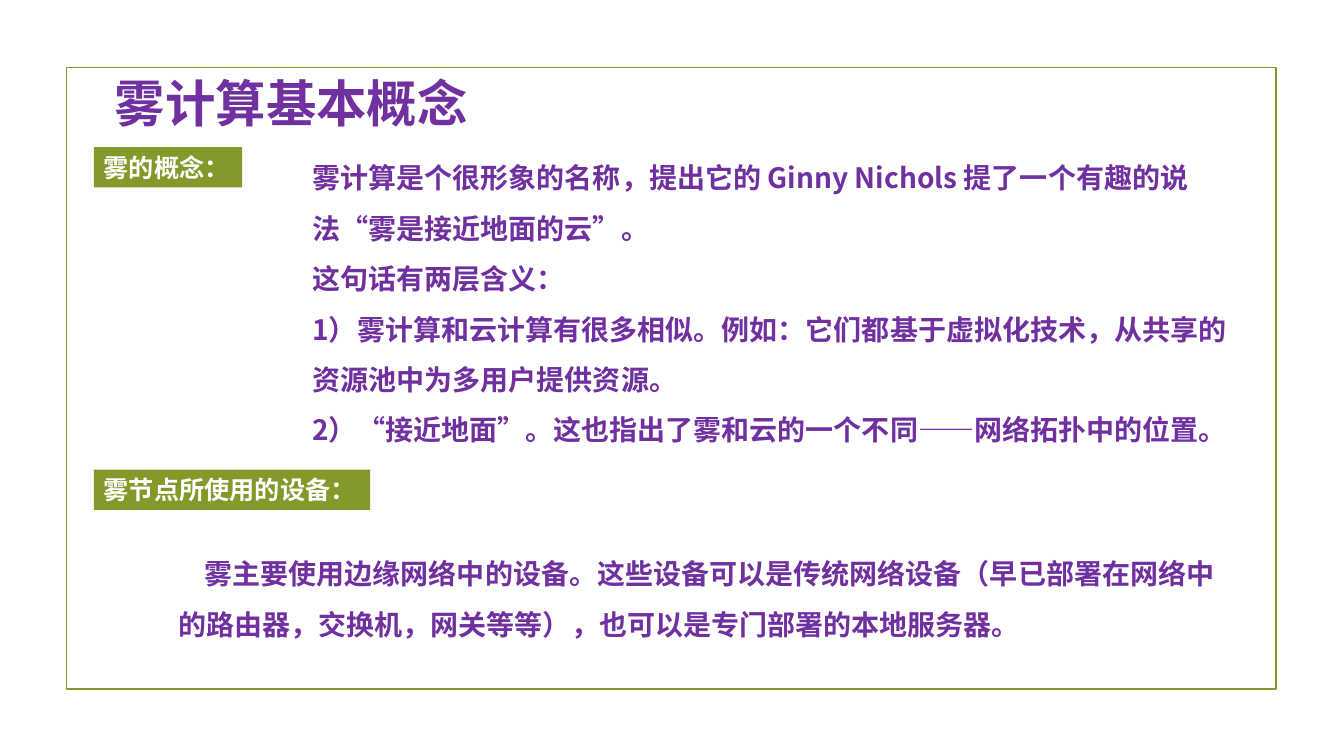
import pptx
import pptx.util
import pptx.dml.color
import pptx.enum.shapes
import pptx.enum.text
import pptx.oxml.ns
import lxml.etree

RGB = pptx.dml.color.RGBColor
GREEN = RGB(0x83, 0x99, 0x2A)
PURPLE = RGB(0x70, 0x30, 0xA0)
WHITE = RGB(0xFF, 0xFF, 0xFF)

WIDE, HIGH = pptx.util.Inches(13.33), pptx.util.Inches(7.5)
HAN = "Noto Sans CJK SC"
EDGE = 6.98  # left edge of the labels, percent of the width

FOG = [
    "雾计算是个很形象的名称，提出它的 Ginny Nichols 提了一个有趣的说法“雾是接近地面的云”。",
    "这句话有两层含义：",
    "1）雾计算和云计算有很多相似。例如：它们都基于虚拟化技术，从共享的资源池中为多用户提供资源。",
    "2）“接近地面”。这也指出了雾和云的一个不同——网络拓扑中的位置。",
]
GEAR = [
    "雾主要使用边缘网络中的设备。这些设备可以是传统网络设备（早已部署在网络中的路由器，交换机，网关等等），也可以是专门部署的本地服务器。",
]


def area(left, top, width, height):
    """Turn percent shares of the slide into lengths."""
    return (int(WIDE * left / 100), int(HIGH * top / 100),
            int(WIDE * width / 100), int(HIGH * height / 100))


def write(shape, lines, size, color, font, space=1.0, indent=0, wrap=True):
    """Fill a shape with bold, left-aligned paragraphs."""
    frame = shape.text_frame
    frame.word_wrap = wrap
    frame.auto_size = pptx.enum.text.MSO_AUTO_SIZE.NONE
    frame.vertical_anchor = pptx.enum.text.MSO_ANCHOR.TOP
    for num, line in enumerate(lines):
        para = frame.add_paragraph() if num else frame.paragraphs[0]
        para.alignment = pptx.enum.text.PP_ALIGN.LEFT
        para.line_spacing = space
        if indent:
            para._p.get_or_add_pPr().set("indent", str(pptx.util.Inches(indent)))
        run = para.add_run()
        run.text = line
        run.font.name = font
        run.font.size = pptx.util.Pt(size)
        run.font.bold = True
        run.font.color.rgb = color
        # East Asian typeface follows the latin one
        asian = lxml.etree.Element(pptx.oxml.ns.qn("a:ea"), typeface=HAN)
        run.font._element.find(pptx.oxml.ns.qn("a:latin")).addnext(asian)


def block(slide, place):
    """Add a plain rectangle."""
    rect = pptx.enum.shapes.MSO_SHAPE.RECTANGLE
    shape = slide.shapes.add_shape(rect, *area(*place))
    shape.shadow.inherit = False
    return shape


def border(slide, place):
    shape = block(slide, place)
    shape.fill.background()
    shape.line.color.rgb = GREEN
    shape.line.width = pptx.util.Pt(1.25)


def title(slide, text, place):
    shape = slide.shapes.title
    shape.left, shape.top, shape.width, shape.height = area(*place)
    write(shape, [text], 36, PURPLE, "Arial")


def label(slide, text, top, width):
    shape = block(slide, (EDGE, top, width, 5.33))
    shape.fill.solid()
    shape.fill.fore_color.rgb = GREEN
    shape.line.fill.background()
    write(shape, [text], 18, WHITE, "Arial", wrap=False)


def prose(slide, lines, place, indent=0):
    shape = slide.shapes.add_textbox(*area(*place))
    write(shape, lines, 20, PURPLE, HAN, space=1.5, indent=indent)


def main():
    deck = pptx.Presentation()
    deck.slide_width, deck.slide_height = WIDE, HIGH
    slide = deck.slides.add_slide(deck.slide_layouts[5])

    # Frame and title
    border(slide, (4.95, 8.93, 90.02, 82.27))
    title(slide, "雾计算基本概念", (7.8, 8.93, 33.23, 9.47))

    # Concept
    prose(slide, FOG, (22.51, 18.4, 70.97, 41.73))
    label(slide, "雾的概念：", 19.47, 11.03)

    # Devices
    label(slide, "雾节点所使用的设备：", 62.13, 20.56)
    prose(slide, GEAR, (12.53, 70.8, 80.12, 14.8), indent=0.26)

    deck.save("out.pptx")


if __name__ == "__main__":
    main()
